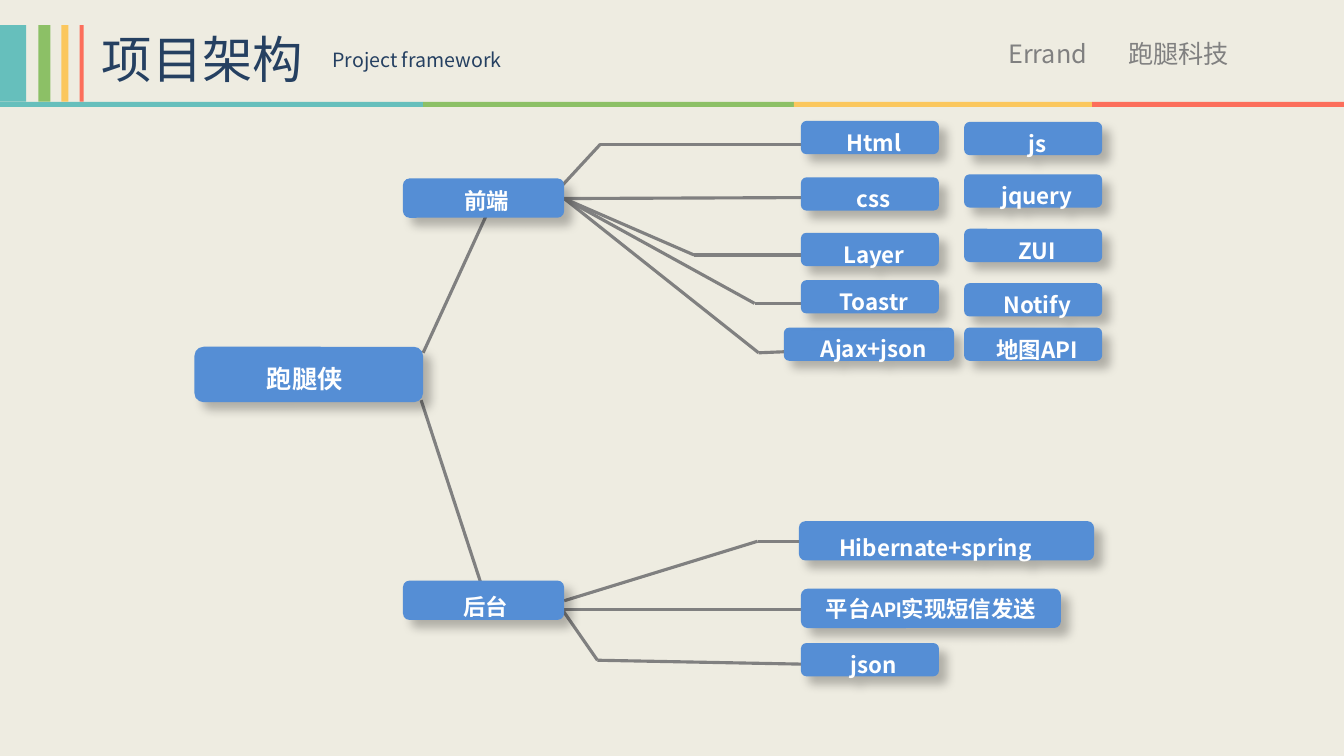
import itertools
import pptx
import pptx.dml.color
import pptx.enum.shapes
import pptx.enum.text
import pptx.oxml
import pptx.oxml.ns
import pptx.util
from dataclasses import dataclass

PX = 9144  # 100 px to the inch
SHAPE = pptx.enum.shapes.MSO_SHAPE
ALIGN = pptx.enum.text.PP_ALIGN
ANCHOR = pptx.enum.text.MSO_ANCHOR


@dataclass(frozen=True)
class Theme:
    background: str = "EEECE1"
    navy: str = "254061"
    gray: str = "808080"
    node: str = "558ED5"
    white: str = "FFFFFF"
    accents: tuple = ("66BFBC", "8CC066", "FBC75D", "FC6E5B")
    font: str = "Noto Sans CJK SC"
    latin_font: str = "Calibri"
    title: int = 36
    subtitle: int = 14
    large: int = 18
    label: int = 16
    line: float = 2.25


THEME = Theme()

# text, box, label shift from the centre of the box
ROOT = ("跑腿侠", (193, 344, 227, 55), (-4, 4))
BRANCHES = [
    ("前端", (400, 177, 160, 39), (3, 2)),
    ("后台", (400, 576, 160, 39), (2, 6)),
]
LEAF_SIZE = (137, 33)
LEAF_SHIFT = (4, 5)
LEAF_COLUMNS = {
    795: {"Html": 120, "css": 176, "Layer": 231, "Toastr": 278, "json": 638},
    957: {"js": 121, "jquery": 173, "ZUI": 227, "Notify": 281, "地图API": 325},
}
WIDE_LEAVES = [
    ("Ajax+json", (778, 325, 169, 33), (5, 4)),
    ("Hibernate+spring", (793, 517, 293, 39), (-11, 7)),
]
SMS_LEAF = ("平台API实现短信发送", (795, 584, 258, 39), (0, 0))

FRONT_HUB = (560, 197)
LINKS = [
    [(483, 213), (420, 350)],
    [(483, 596), (418, 397)],
    [(559, 183), (596, 143), (808, 143)],
    [FRONT_HUB, (802, 196)],
    [FRONT_HUB, (689, 253), (795, 253)],
    [FRONT_HUB, (749, 301), (804, 301)],
    [FRONT_HUB, (753, 350), (802, 348)],
    [(560, 596), (752, 537), (802, 537)],
    [(546, 605), (802, 605)],
    [(543, 583), (593, 655), (802, 659)],
]


def emu(lengths):
    return [pptx.util.Emu(length * PX) for length in lengths]


def color(value):
    return pptx.dml.color.RGBColor.from_string(value)


def write_text(shape, text, size, ink, font=THEME.font, bold=False,
               align=ALIGN.LEFT, **frame_format):
    frame = shape.text_frame
    frame_format = {"word_wrap": True, "vertical_anchor": ANCHOR.TOP,
                    "auto_size": pptx.enum.text.MSO_AUTO_SIZE.NONE, **frame_format}
    for name, value in frame_format.items():
        setattr(frame, name, value)
    paragraph = frame.paragraphs[0]
    paragraph.alignment = align
    run = paragraph.add_run()
    run.text = text
    for name, value in {"name": font, "size": pptx.util.Pt(size), "bold": bold}.items():
        setattr(run.font, name, value)
    run.font.color.rgb = color(ink)
    east_asian = pptx.oxml.parse_xml(
        f'<a:ea {pptx.oxml.ns.nsdecls("a")} typeface="{THEME.font}"/>')
    run.font._element.find(pptx.oxml.ns.qn("a:latin")).addnext(east_asian)


def add_block(slide, kind, box, fill):
    shape = slide.shapes.add_shape(kind, *emu(box))
    shape.shadow.inherit = False
    shape.fill.solid()
    shape.fill.fore_color.rgb = color(fill)
    shape.line.fill.background()
    return shape


def add_drop_shadow(shape):
    effects = shape._element.spPr.find(pptx.oxml.ns.qn("a:effectLst"))
    effects.append(pptx.oxml.parse_xml(
        f'<a:outerShdw {pptx.oxml.ns.nsdecls("a")} blurRad="{pptx.util.Pt(7)}" '
        f'dist="{pptx.util.Pt(8)}" dir="2700000" algn="tl" rotWithShape="0">'
        '<a:srgbClr val="000000"><a:alpha val="25000"/></a:srgbClr></a:outerShdw>'))


def add_node(slide, text, box, shift, font=THEME.font, size=THEME.label):
    shape = add_block(slide, SHAPE.ROUNDED_RECTANGLE, box, THEME.node)
    add_drop_shadow(shape)
    across, down = shift
    left, right, top = emu((max(2 * across, 0), max(-2 * across, 0), 2 * down))
    write_text(shape, text, size, THEME.white, font, bold=True, align=ALIGN.CENTER,
               vertical_anchor=ANCHOR.MIDDLE, margin_left=left, margin_right=right,
               margin_top=top, margin_bottom=0)


def add_link(slide, points):
    """Draw one straight connector between each two neighbouring points."""
    for start, end in itertools.pairwise(points):
        connector = slide.shapes.add_connector(
            pptx.enum.shapes.MSO_CONNECTOR.STRAIGHT, *emu(start + end))
        connector.line.color.rgb = color(THEME.gray)
        connector.line.width = pptx.util.Pt(THEME.line)
        connector._element.spPr.append(
            pptx.oxml.parse_xml(f'<a:effectLst {pptx.oxml.ns.nsdecls("a")}/>'))


def add_header(slide, box):
    left, top, width, height = box
    title = slide.shapes.title
    title_box = emu((left + 91, top - 2, 229, 71))
    for name, value in zip(("left", "top", "width", "height"), title_box):
        setattr(title, name, value)
    write_text(title, "项目架构", THEME.title, THEME.navy, margin_right=0)

    captions = [
        ("Project framework", (320, 18, 379, 34), THEME.subtitle, THEME.navy),
        ("Errand", (991, 8, 115, 40), THEME.large, THEME.gray),
        ("跑腿科技", (1110, 8, 186, 40), THEME.large, THEME.gray),
    ]
    for text, (x, y, *size), points, ink in captions:
        caption = slide.shapes.add_textbox(*emu((left + x, top + y, *size)))
        write_text(caption, text, points, ink)

    rule = 5
    stripes = [(0, 26), (38, 12), (61, 7), (79, 4)]
    rule_edges = [0, 420, 788, 1084, width]
    for fill, (x, stripe), (start, end) in zip(
            THEME.accents, stripes, itertools.pairwise(rule_edges)):
        add_block(slide, SHAPE.RECTANGLE, (left + x, top, stripe, height - rule), fill)
        add_block(slide, SHAPE.RECTANGLE,
                  (left + start, top + height - rule, end - start, rule), fill)


def add_architecture_tree(slide, origin):
    left, top = origin

    def place(box):
        x, y, *size = box
        return (left + x, top + y, *size)

    for points in LINKS:
        add_link(slide, [place(point) for point in points])
    text, box, shift = ROOT
    add_node(slide, text, place(box), shift, size=THEME.large)
    text, box, shift = SMS_LEAF
    add_node(slide, text, place(box), shift, font=THEME.latin_font)
    leaves = [(text, (x, y, *LEAF_SIZE), LEAF_SHIFT)
              for x, column in LEAF_COLUMNS.items() for text, y in column.items()]
    for text, box, shift in BRANCHES + WIDE_LEAVES + leaves:
        add_node(slide, text, place(box), shift)


def main():
    presentation = pptx.Presentation()
    presentation.slide_width, presentation.slide_height = emu((1334, 750))
    title_only = presentation.slide_layouts[5]
    slide = presentation.slides.add_slide(title_only)
    slide.background.fill.solid()
    slide.background.fill.fore_color.rgb = color(THEME.background)
    add_header(slide, (0, 25, 1334, 81))
    add_architecture_tree(slide, (0, 0))
    presentation.save("out.pptx")


if __name__ == "__main__":
    main()
